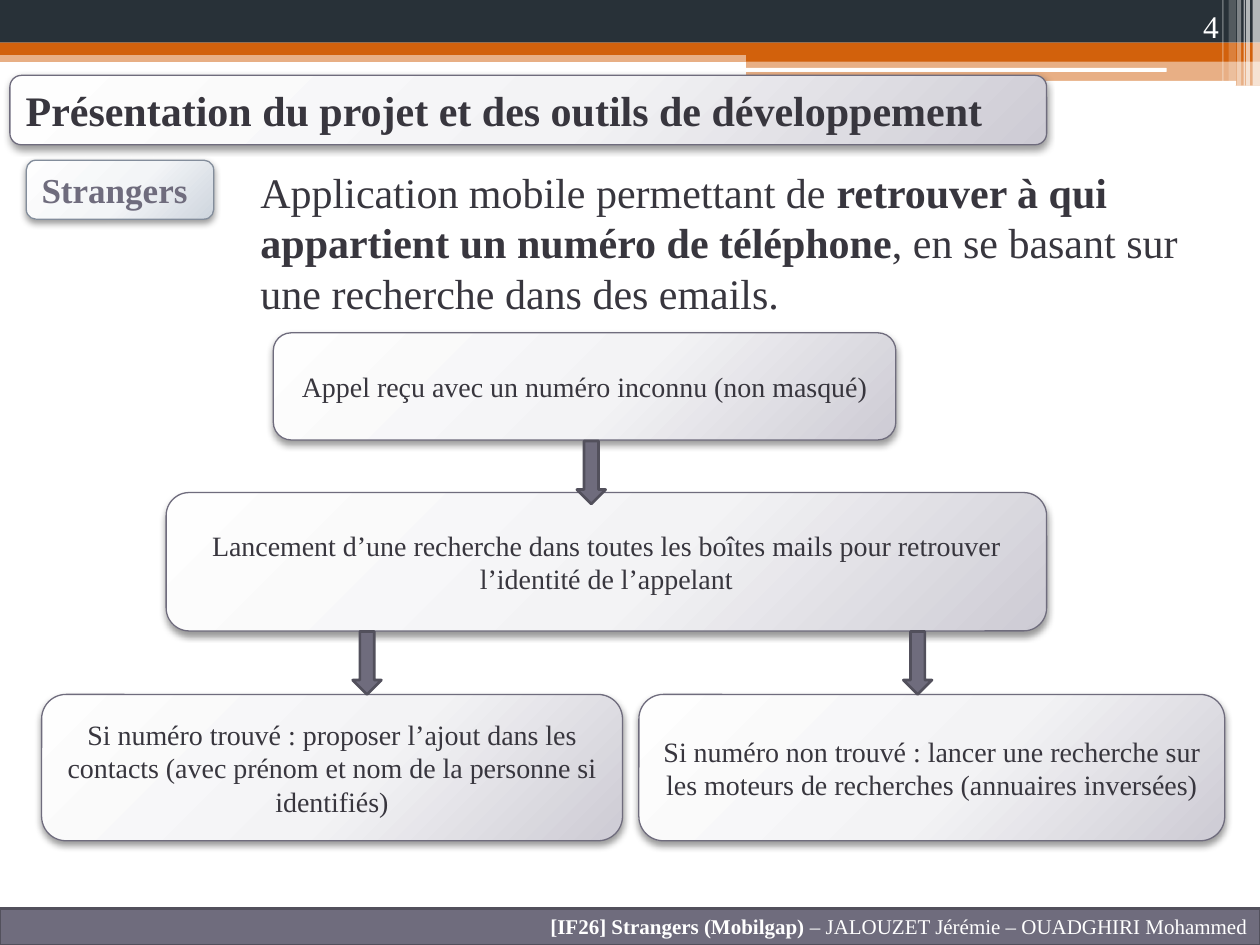
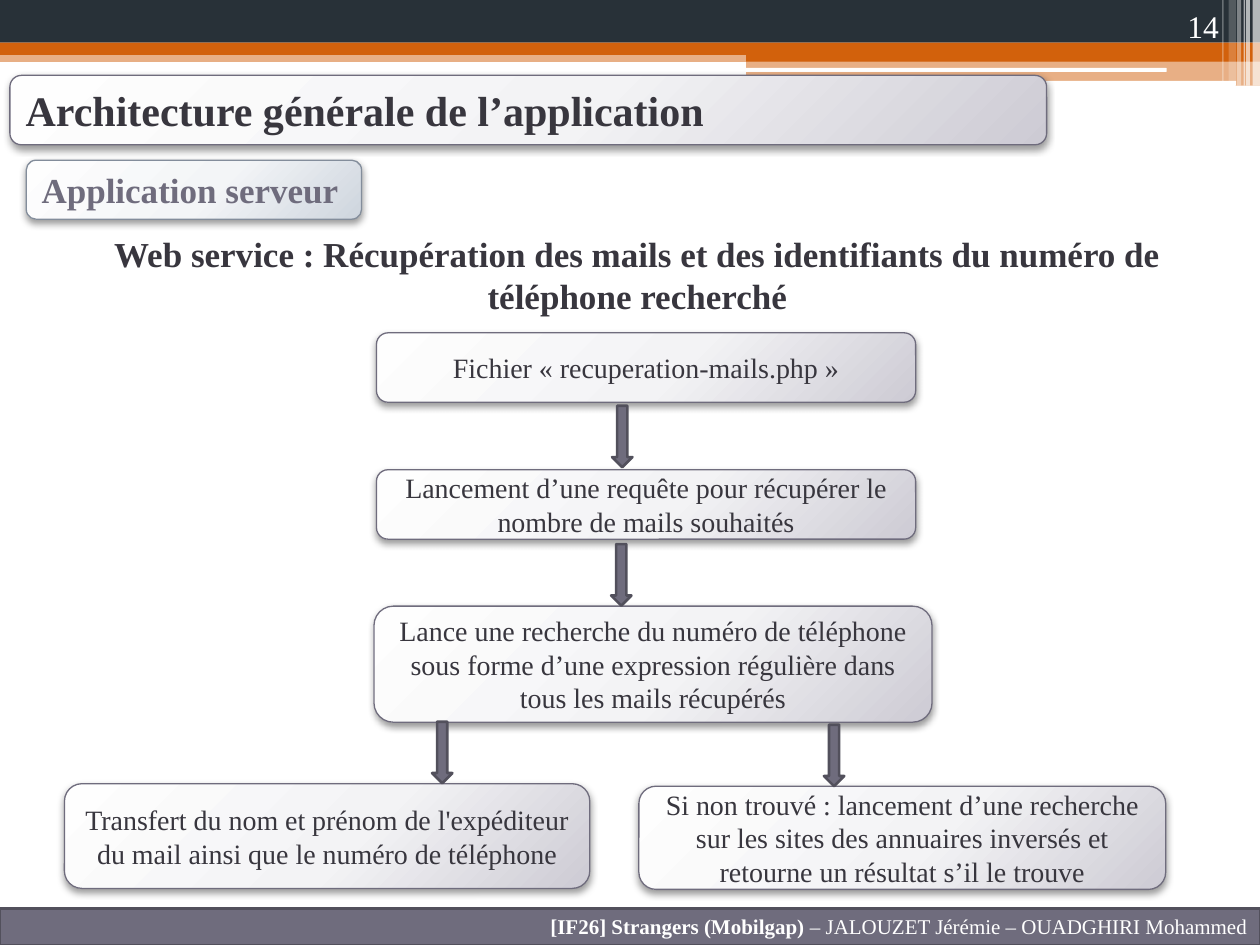
"""Build two flowchart slides that share one banded theme."""
from dataclasses import dataclass

from lxml import etree
from pptx import Presentation
from pptx.dml.color import RGBColor
from pptx.enum.shapes import MSO_SHAPE
from pptx.enum.text import MSO_ANCHOR, PP_ALIGN
from pptx.oxml import parse_xml
from pptx.oxml.ns import qn
from pptx.util import Cm, Pt

RECT = MSO_SHAPE.RECTANGLE
ROUNDED = MSO_SHAPE.ROUNDED_RECTANGLE
DOWN_ARROW = MSO_SHAPE.DOWN_ARROW
LEFT, CENTER, RIGHT = PP_ALIGN.LEFT, PP_ALIGN.CENTER, PP_ALIGN.RIGHT
TOP, MIDDLE, BOTTOM = MSO_ANCHOR.TOP, MSO_ANCHOR.MIDDLE, MSO_ANCHOR.BOTTOM
DRAWING_NS = "http://schemas.openxmlformats.org/drawingml/2006/main"


@dataclass(frozen=True)
class Theme:
    """Colours, font and type sizes of the deck."""
    font: str = "Times New Roman"
    dark: str = "283138"
    orange: str = "D2610C"
    white: str = "FFFFFF"
    ink: str = "38363E"
    slate: str = "6F6C7D"
    slate_edge: str = "52505C"
    tag_edge: str = "838D9B"
    box_gradient: tuple = ((0, "FEFEFE"), (55, "F3F3F5"), (100, "CDCBD4"))
    tag_gradient: tuple = ((0, "FEFEFE"), (55, "F3F5F7"), (100, "CED5DE"))
    title: int = 24
    heading: int = 20
    number: int = 18
    label: int = 16
    footer: int = 12


THEME = Theme()
SLIDE_W, SLIDE_H = 25.4, 19.05

BANDS = [
    (RECT, (0, 1.02, SLIDE_W, 0.23), THEME.orange, 50),
    (RECT, (0, 0, SLIDE_W, 0.86), THEME.dark, 100),
    (RECT, (0, 0.86, SLIDE_W, 0.25), THEME.orange, 100),
    (RECT, (15.04, 0.99, 10.36, 0.25), THEME.orange, 100),
    (RECT, (15.04, 1.22, 10.36, 0.51), THEME.orange, 50),
    (ROUNDED, (15.01, 1.37, 8.51, 0.08), THEME.white, 100),
    (ROUNDED, (20.47, 1.63, 4.45, 0.1), THEME.white, 100),
]
STRIPES = [
    (25.25, 0.15, 1.73, 65),
    (25.12, 0.08, 1.73, 65),
    (25.07, 0.03, 1.73, 60),
    (24.94, 0.08, 1.73, 40),
    (24.77, 0.15, 1.63, 20),
    (24.64, 0.03, 1.63, 30),
]
FOOTER = [("[IF26] Strangers (Mobilgap) ", True),
          ("– JALOUZET Jérémie – OUADGHIRI Mohammed", False)]

PROJECT_INTRO = [
    ("Application mobile permettant de ", False),
    ("retrouver à qui appartient un numéro de téléphone", True),
    (", en se basant sur une recherche dans des emails.", False),
]
PROJECT_STEPS = [
    ((5.51, 6.71, 12.55, 2.16), "Appel reçu avec un numéro inconnu (non masqué)"),
    ((3.35, 9.93, 17.75, 2.79), "Lancement d’une recherche dans toutes les boîtes mails "
                                "pour retrouver l’identité de l’appelant"),
    ((0.84, 14, 11.71, 2.95), "Si numéro trouvé : proposer l’ajout dans les contacts "
                              "(avec prénom et nom de la personne si identifiés)"),
    ((12.88, 14, 11.81, 2.95), "Si numéro non trouvé : lancer une recherche sur les "
                               "moteurs de recherches (annuaires inversées)"),
]
PROJECT_ARROWS = [(11.63, 8.89), (7.11, 12.73), (18.21, 12.73)]

SERVICE_HEADING = [("Web service : Récupération des mails et des identifiants "
                    "du numéro de téléphone recherché", True)]
SERVICE_STEPS = [
    ((7.59, 6.71, 10.87, 1.4), "Fichier « recuperation-mails.php »"),
    ((7.59, 9.47, 10.87, 1.4), "Lancement d’une requête pour récupérer le nombre "
                               "de mails souhaités"),
    ((7.54, 12.22, 11.25, 2.34), "Lance une recherche du numéro de téléphone sous forme "
                                 "d’une expression régulière dans tous les mails récupérés"),
    ((1.3, 15.8, 10.59, 2.11), "Transfert du nom et prénom de l'expéditeur du mail "
                               "ainsi que le numéro de téléphone"),
    ((12.88, 15.85, 10.62, 2.08), "Si non trouvé : lancement d’une recherche sur les sites "
                                  "des annuaires inversés et retourne un résultat "
                                  "s’il le trouve"),
]
SERVICE_ARROWS = [(12.34, 8.18), (12.32, 10.97), (8.71, 14.55), (16.61, 14.61)]


def add_text(tf, runs, size, color, align=LEFT, anchor=MIDDLE):
    """Fill a text frame with one paragraph of (text, bold) runs."""
    tf.word_wrap = True
    tf.vertical_anchor = anchor
    p = tf.paragraphs[0]
    p.alignment = align
    for text, bold in runs:
        r = p.add_run()
        r.text = text
        r.font.name = THEME.font
        r.font.size = Pt(size)
        r.font.bold = bold
        r.font.color.rgb = RGBColor.from_string(color)
    return p


def add_shape(s, kind, box, fill=None, edge=None, width=0.75):
    """Add a shape without shadow, with an optional fill and outline."""
    sp = s.shapes.add_shape(kind, *map(Cm, box))
    sp.shadow.inherit = False
    if fill:
        sp.fill.solid()
        sp.fill.fore_color.rgb = RGBColor.from_string(fill)
    else:
        sp.fill.background()
    if edge:
        sp.line.color.rgb = RGBColor.from_string(edge)
        sp.line.width = Pt(width)
    else:
        sp.line.fill.background()
    return sp


def add_band(s, kind, box, color, opacity):
    """Add a flat decorative band with the given opacity in percent."""
    sp = add_shape(s, kind, box, color)
    if opacity < 100:
        clr = sp.fill._xPr.find(".//" + qn("a:srgbClr"))
        etree.SubElement(clr, qn("a:alpha"), val=str(opacity * 1000))


def add_card(s, box, runs, size, color=THEME.ink, align=LEFT,
             gradient=THEME.box_gradient, edge=THEME.slate):
    """Add a rounded card with a radial gradient and a soft shadow."""
    sp = add_shape(s, ROUNDED, box, edge=edge)
    spPr = sp._element.spPr
    stops = "".join(f'<a:gs pos="{pos * 1000}"><a:srgbClr val="{clr}"/></a:gs>'
                    for pos, clr in gradient)
    spPr.replace(spPr.find(qn("a:noFill")), parse_xml(
        f'<a:gradFill xmlns:a="{DRAWING_NS}" rotWithShape="1"><a:gsLst>{stops}</a:gsLst>'
        '<a:path path="circle"><a:fillToRect l="-40000" t="-90000" r="140000" b="190000"/>'
        '</a:path></a:gradFill>'))
    spPr.find(qn("a:effectLst")).append(parse_xml(
        f'<a:outerShdw xmlns:a="{DRAWING_NS}" blurRad="{Pt(4.1)}" dist="{Pt(2)}" '
        'dir="5400000" rotWithShape="0"><a:srgbClr val="000000"><a:alpha val="40000"/>'
        '</a:srgbClr></a:outerShdw>'))
    add_text(sp.text_frame, runs, size, color, align)


def add_textbox(s, box, runs, size, color, align=LEFT, anchor=TOP):
    """Add a wrapped text box and return its paragraph."""
    sp = s.shapes.add_textbox(*map(Cm, box))
    return add_text(sp.text_frame, runs, size, color, align, anchor)


def add_body(s, box, runs, size, align=LEFT):
    """Add indented body text below the title."""
    p = add_textbox(s, box, runs, size, THEME.ink, align)
    p.space_before = Pt(3)
    pPr = p._p.get_or_add_pPr()
    pPr.set("marL", str(Cm(0.3)))
    pPr.set("indent", "0")


def add_flow(s, steps, arrows, arrow_size):
    """Add the step cards, then the arrows that link them."""
    for box, text in steps:
        add_card(s, box, [(text, False)], THEME.label, align=CENTER)
    for place in arrows:
        add_shape(s, DOWN_ARROW, place + arrow_size, THEME.slate, THEME.slate_edge, 1.5)


def add_framed_slide(prs, number, title, tag, tag_width):
    """Add a blank slide with bands, page number, footer, title and tag."""
    s = prs.slides.add_slide(prs.slide_layouts[6])
    for band in BANDS:
        add_band(s, *band)
    for x, width, height, opacity in STRIPES:
        add_band(s, RECT, (x, 0, width, height), THEME.white, opacity)
    add_textbox(s, (22.71, 0, 2.11, 1.02), [(str(number), False)],
                THEME.number, THEME.white, RIGHT, BOTTOM)
    footer = add_shape(s, RECT, (0, 18.31, SLIDE_W, 0.74),
                       THEME.slate, THEME.slate_edge, 1.5)
    add_text(footer.text_frame, FOOTER, THEME.footer, THEME.white, RIGHT)
    add_card(s, (0.2, 1.52, 20.9, 1.4), [(title, True)], THEME.title)
    add_card(s, (0.53, 3.23, tag_width, 1.19), [(tag, True)], THEME.heading,
             THEME.slate, gradient=THEME.tag_gradient, edge=THEME.tag_edge)
    return s


def main():
    """Build and save the deck."""
    prs = Presentation()
    prs.slide_width, prs.slide_height = Cm(SLIDE_W), Cm(SLIDE_H)

    s = add_framed_slide(prs, 4, "Présentation du projet et des outils de développement",
                         "Strangers", 3.78)
    add_body(s, (4.7, 3.23, 20.4, 3.89), PROJECT_INTRO, THEME.title)
    add_flow(s, PROJECT_STEPS, PROJECT_ARROWS, (0.58, 1.27))

    s = add_framed_slide(prs, 14, "Architecture générale de l’application",
                         "Application serveur", 6.76)
    add_body(s, (1.32, 4.57, 22.76, 12.83), SERVICE_HEADING, THEME.heading, CENTER)
    add_flow(s, SERVICE_STEPS, SERVICE_ARROWS, (0.41, 1.24))

    prs.save("out.pptx")


if __name__ == "__main__":
    main()
